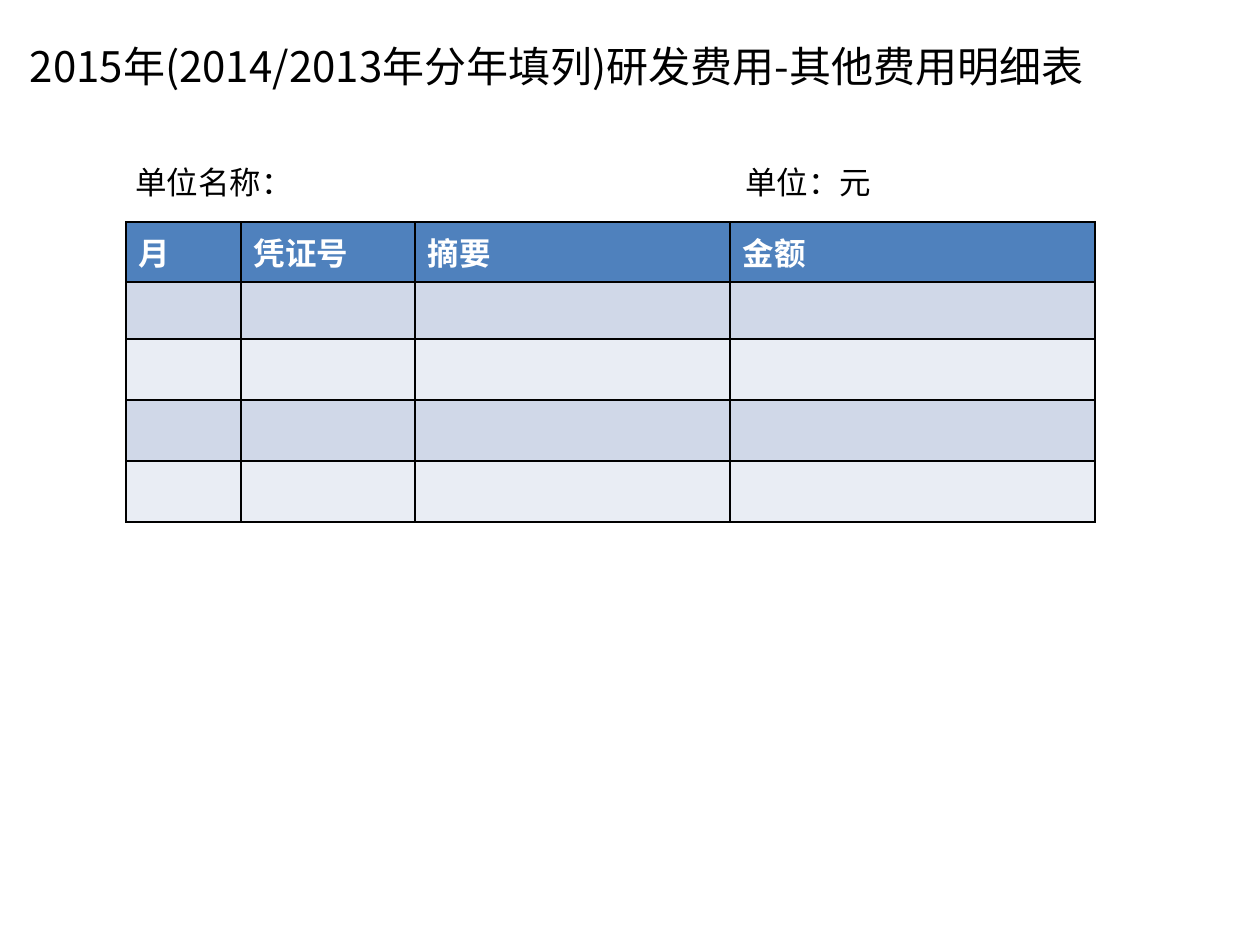
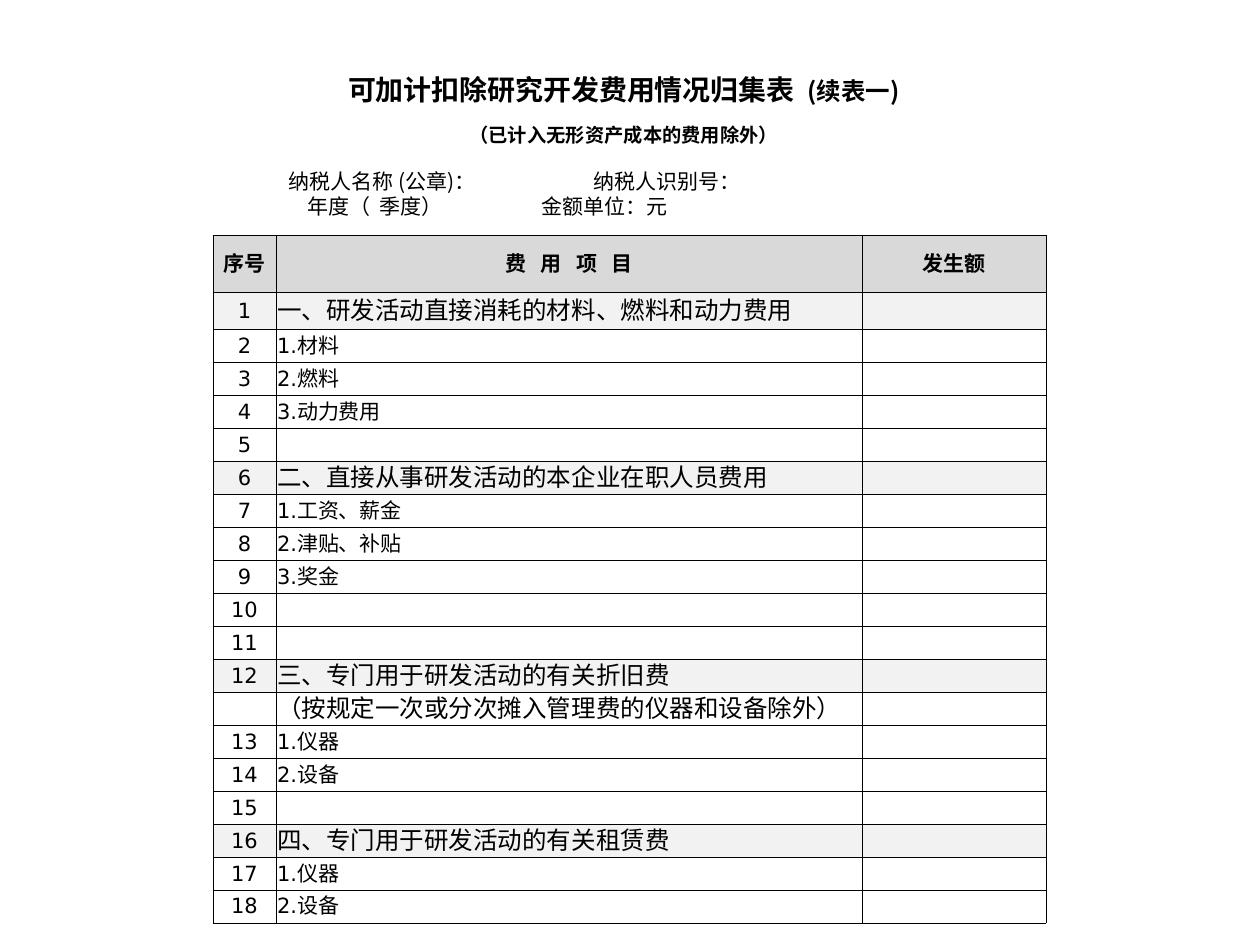
from lxml import etree
from pptx import Presentation
from pptx import util as u
from pptx.dml.color import RGBColor
from pptx.enum import text
from pptx.oxml.ns import qn

SCALE = 914400 / 126
COLORS = {
    "ink": "000000",
    "paper": "FFFFFF",
    "blue": "4F81BD",
    "band_dark": "D0D8E8",
    "band_light": "E9EDF4",
    "header_gray": "D9D9D9",
    "section_gray": "F2F2F2",
}
CJK = "Noto Sans CJK SC"
FORM_FONT = "DejaVu Sans"
CENTER = text.PP_ALIGN.CENTER
LEFT = text.PP_ALIGN.LEFT
TITLE_ONLY = 5

DETAIL_HEADERS = ["月", "凭证号", "摘要", "金额"]
EXPENSES = [
    ("1", "一、研发活动直接消耗的材料、燃料和动力费用"),
    ("2", "1.材料"),
    ("3", "2.燃料"),
    ("4", "3.动力费用"),
    ("5", ""),
    ("6", "二、直接从事研发活动的本企业在职人员费用"),
    ("7", "1.工资、薪金"),
    ("8", "2.津贴、补贴"),
    ("9", "3.奖金"),
    ("10", ""),
    ("11", ""),
    ("12", "三、专门用于研发活动的有关折旧费"),
    ("", "（按规定一次或分次摊入管理费的仪器和设备除外）"),
    ("13", "1.仪器"),
    ("14", "2.设备"),
    ("15", ""),
    ("16", "四、专门用于研发活动的有关租赁费"),
    ("17", "1.仪器"),
    ("18", "2.设备"),
]


def px(length):
    return u.Emu(round(length * SCALE))


def add_text(paragraph, words, size=12, font=CJK, east_asian=CJK, color="ink",
             bold=False, underline=False):
    run = paragraph.add_run()
    run.text = words
    run.font.size = u.Pt(size)
    run.font.bold = bold
    run.font.underline = underline
    run.font.color.rgb = RGBColor.from_string(COLORS[color])
    run.font.name = font
    etree.SubElement(run.font._element, qn("a:ea"), typeface=east_asian)


def format_paragraph(paragraph, align=LEFT, line=None, after=0, indent=0, tabs=()):
    paragraph.alignment = align
    paragraph.space_before = u.Pt(0)
    paragraph.space_after = px(after)
    if line:
        paragraph.line_spacing = px(line)
    properties = paragraph._p.get_or_add_pPr()
    if indent:
        properties.set("marL", str(px(indent)))
    if tabs:
        tab_list = etree.SubElement(properties, qn("a:tabLst"))
        for stop in tabs:
            etree.SubElement(tab_list, qn("a:tab"), pos=str(px(stop)), algn="l")


def add_title(slide, left, top, width, height, line):
    title = slide.shapes.title
    title.left, title.top, title.width, title.height = map(px, (left, top, width, height))
    frame = title.text_frame
    frame.word_wrap = True
    frame.auto_size = text.MSO_AUTO_SIZE.NONE
    frame.vertical_anchor = text.MSO_ANCHOR.TOP
    format_paragraph(frame.paragraphs[0], CENTER, line)
    return frame.paragraphs[0]


def add_text_box(slide, left, top, width, height):
    frame = slide.shapes.add_textbox(*map(px, (left, top, width, height))).text_frame
    frame.word_wrap = True
    return frame


def add_table(slide, left, top, columns, rows):
    table = slide.shapes.add_table(len(rows), len(columns), px(left), px(top),
                                   px(sum(columns)), px(sum(rows))).table
    table.first_row = table.horz_banding = False
    for column, width in zip(table.columns, columns):
        column.width = px(width)
    for row, height in zip(table.rows, rows):
        row.height = px(height)
    return table


def set_borders(cell, width):
    properties = cell._tc.get_or_add_tcPr()
    for index, side in enumerate(("lnL", "lnR", "lnT", "lnB")):
        line = etree.Element(qn("a:" + side), w=str(u.Pt(width)))
        fill = etree.SubElement(line, qn("a:solidFill"))
        etree.SubElement(fill, qn("a:srgbClr"), val=COLORS["ink"])
        properties.insert(index, line)


def fill_cell(cell, words, fill, border, align=LEFT, margins=None, size=12, **style):
    cell.fill.solid()
    cell.fill.fore_color.rgb = RGBColor.from_string(COLORS[fill])
    set_borders(cell, border)
    cell.vertical_anchor = text.MSO_ANCHOR.MIDDLE
    if margins:
        (cell.margin_left, cell.margin_top,
         cell.margin_right, cell.margin_bottom) = map(px, margins)
    paragraph = cell.text_frame.paragraphs[0]
    paragraph.alignment = align
    if words:
        add_text(paragraph, words, size=size, **style)
    else:
        etree.SubElement(paragraph._p, qn("a:endParaRPr"), sz=str(size * 100))


def build_detail_slide(slide):
    title = add_title(slide, 5, 35, 1103, 101, line=50)
    add_text(title, "2015年(2014/2013年分年填列)研发费用-其他费用明细表", size=24)

    caption = add_text_box(slide, 123, 157, 953, 50).paragraphs[0]
    format_paragraph(caption, tabs=[610])
    add_text(caption, "单位名称：\t单位：元", size=18, font="Arial")

    table = add_table(slide, 126, 222, [115, 174, 315, 365], [60, 57, 61, 61, 61])
    for column, header in enumerate(DETAIL_HEADERS):
        fill_cell(table.cell(0, column), header, "blue", 1, size=18,
                  font="Calibri", color="paper", bold=True)
        for row in range(1, 5):
            band = "band_dark" if row % 2 else "band_light"
            fill_cell(table.cell(row, column), "", band, 1)


def build_summary_slide(slide):
    title = add_title(slide, 272, 66, 704, 46, line=34)
    add_text(title, "可加计扣除研究开发费用情况归集表  ", size=16, bold=True)
    add_text(title, "(续表一)", size=14, bold=True)

    frame = add_text_box(slide, 272, 117, 704, 116)
    subtitle = frame.paragraphs[0]
    format_paragraph(subtitle, CENTER, line=23, after=23)
    add_text(subtitle, "（已计入无形资产成本的费用除外）", size=11, bold=True)
    taxpayer = frame.add_paragraph()
    format_paragraph(taxpayer, line=25, indent=4, tabs=[305])
    add_text(taxpayer, "纳税人名称 (公章)：\t纳税人识别号：")
    period = frame.add_paragraph()
    format_paragraph(period, line=25, tabs=[23, 257])
    add_text(period, "\t", underline=True)
    add_text(period, "年度（  季度）\t金额单位：元")

    table = add_table(slide, 213, 235, [63, 586, 184], [57, 37] + [33] * 18)
    style = dict(border=0.25, margins=(1, 1, 1, 0), font=FORM_FONT, east_asian=FORM_FONT)
    for column, header in enumerate(["序号", "费  用  项  目", "发生额"]):
        fill_cell(table.cell(0, column), header, "header_gray", align=CENTER,
                  bold=True, **style)
    for row, (number, item) in enumerate(EXPENSES, start=1):
        is_section = item[1:2] == "、"
        fill = "section_gray" if is_section else "paper"
        size = 14 if is_section or item.startswith("（") else 12
        fill_cell(table.cell(row, 0), number, fill, align=CENTER, **style)
        fill_cell(table.cell(row, 1), item, fill, size=size, **style)
        fill_cell(table.cell(row, 2), "", fill, **style)


def main():
    presentation = Presentation()
    presentation.slide_width, presentation.slide_height = px(1260), px(945)
    layout = presentation.slide_layouts[TITLE_ONLY]
    for build in (build_detail_slide, build_summary_slide):
        build(presentation.slides.add_slide(layout))
    presentation.save("out.pptx")


main()
